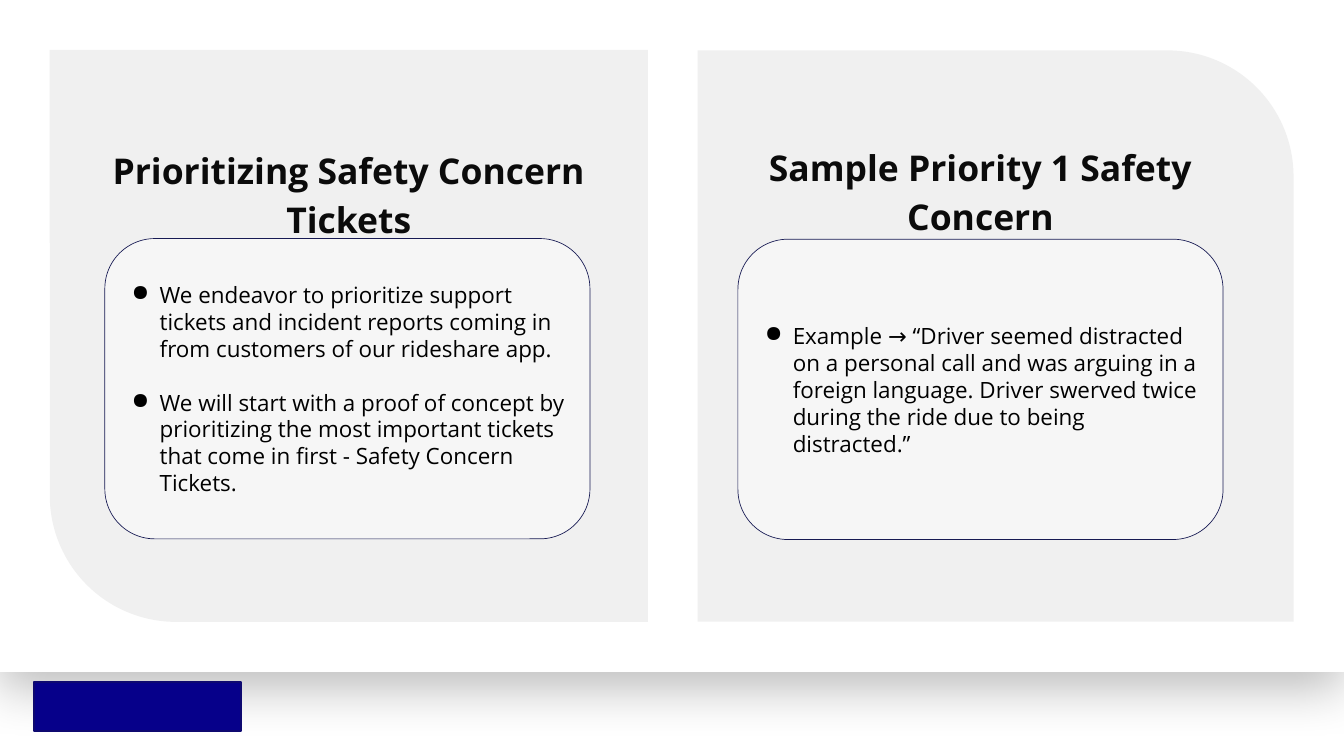
from lxml.etree import SubElement
from pptx import Presentation
from pptx.dml.color import RGBColor
from pptx.enum.shapes import MSO_SHAPE
from pptx.enum.text import MSO_ANCHOR, PP_ALIGN
from pptx.oxml.ns import qn
from pptx.util import Pt

FONT = "Open Sans"


def color(code):
    """Turn a hex string into a colour."""
    return RGBColor.from_string(code)


def block(slide, kind, box, fill, line=None, width=0.75):
    """Add a filled shape without shadow, outlined if a line colour is given."""
    shape = slide.shapes.add_shape(kind, *map(Pt, box))
    shape.shadow.inherit = False
    shape.fill.solid()
    shape.fill.fore_color.rgb = color(fill)
    if line:
        shape.line.color.rgb = color(line)
        shape.line.width = Pt(width)
    else:
        shape.line.fill.background()
    return shape


def style(para, size, code, bold=False):
    """Format every run of a paragraph."""
    for run in para.runs:
        run.font.name = FONT
        run.font.size = Pt(size)
        run.font.bold = bold
        run.font.color.rgb = color(code)


def bullet(para):
    """Give a paragraph a hanging round bullet."""
    props = para._p.get_or_add_pPr()
    props.set("marL", str(Pt(36)))
    props.set("indent", str(-Pt(30)))
    tint = SubElement(props, qn("a:buClr"))
    SubElement(tint, qn("a:srgbClr"), val="000000")
    SubElement(props, qn("a:buChar"), char="●")


def sheet(slide, box):
    """Place the white sheet with its soft shadow below."""
    shape = block(slide, MSO_SHAPE.RECTANGLE, box, "FFFFFF")
    effects = shape._element.spPr.find(qn("a:effectLst"))
    shadow = SubElement(effects, qn("a:outerShdw"), blurRad=str(Pt(56.2)),
                        dist=str(Pt(18.8)), dir="5400000", algn="t", rotWithShape="0")
    tint = SubElement(shadow, qn("a:srgbClr"), val="000000")
    SubElement(tint, qn("a:alpha"), val="25000")


def heading(slide, box, text):
    """Place a centred bold heading."""
    frame = slide.shapes.add_textbox(*map(Pt, box)).text_frame
    frame.word_wrap = True
    frame.margin_left = frame.margin_right = frame.margin_top = frame.margin_bottom = 0
    frame.text = text
    para = frame.paragraphs[0]
    para.alignment = PP_ALIGN.CENTER
    para.line_spacing = 1.15
    style(para, 38, "0B0B0B", True)


def card(slide, box, points):
    """Place a rounded card with bullet points."""
    shape = block(slide, MSO_SHAPE.ROUNDED_RECTANGLE, box, "F6F6F6", "171A53")
    frame = shape.text_frame
    frame.word_wrap = True
    frame.vertical_anchor = MSO_ANCHOR.MIDDLE
    frame.margin_left = frame.margin_right = Pt(7.2)
    frame.margin_top = frame.margin_bottom = Pt(7.2)
    frame.text = "\n".join(points)
    for para in frame.paragraphs:
        para.alignment = PP_ALIGN.LEFT
        if para.text != points[-1]:
            para.space_after = Pt(28.8)
        bullet(para)
        style(para, 24, "000000")


def panel(slide, box, turn, head, inset, title, points):
    """Place a grey panel with one round corner, its heading and its card."""
    left, top, width, height = box
    shape = block(slide, MSO_SHAPE.ROUND_1_RECTANGLE, box, "F0F0F0")
    shape.adjustments[0] = 0.221
    shape.rotation = turn
    dx, dy, wide = head
    heading(slide, (left + dx, top + dy, wide, 104), title)
    card(slide, (left + inset, top + 202.3, 519.8, 321.8), points)


def main():
    """Build the slide and save it."""
    deck = Presentation()
    deck.slide_width, deck.slide_height = Pt(1440), Pt(810)
    slide = deck.slides.add_slide(deck.slide_layouts[6])
    sheet(slide, (0, 0, 1440, 720))
    panel(slide, (53.3, 53.3, 640.8, 613), 180, (35.3, 99.3, 570.2), 59,
          "Prioritizing Safety Concern Tickets",
          ["We endeavor to prioritize support tickets and incident reports "
           "coming in from customers of our rideshare app.",
           "We will start with a proof of concept by prioritizing the most "
           "important tickets that come in first - Safety Concern Tickets."])
    panel(slide, (747.4, 54, 638.6, 612), 0, (50.4, 95.8, 505.4), 43.2,
          "Sample Priority 1 Safety Concern",
          ["Example → “Driver seemed distracted on a personal call and was "
           "arguing in a foreign language. Driver swerved twice during the "
           "ride due to being distracted.”"])
    block(slide, MSO_SHAPE.RECTANGLE, (36, 730.8, 222.5, 52.6), "06008A", "0E0970", 2)
    deck.save("out.pptx")


if __name__ == "__main__":
    main()
